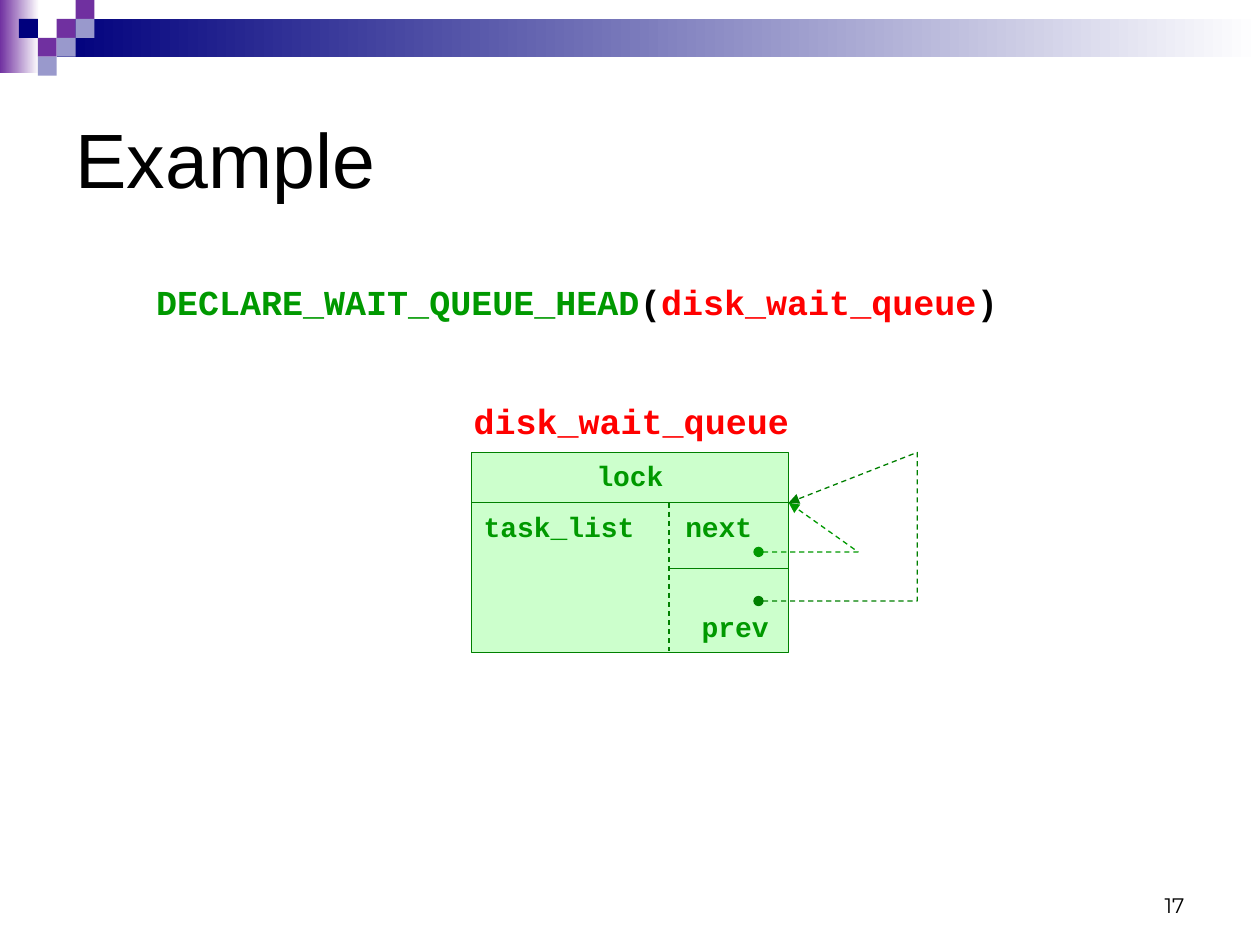
from typing import NamedTuple

from lxml import etree
from pptx import Presentation
from pptx.dml.color import RGBColor
from pptx.enum.dml import MSO_LINE
from pptx.enum.shapes import MSO_CONNECTOR, MSO_SHAPE
from pptx.enum.text import MSO_ANCHOR, PP_ALIGN
from pptx.oxml.ns import qn
from pptx.util import Inches, Pt

RECT = MSO_SHAPE.RECTANGLE
STRAIGHT = MSO_CONNECTOR.STRAIGHT
DASH = MSO_LINE.DASH
LEFT, CENTER, RIGHT = PP_ALIGN.LEFT, PP_ALIGN.CENTER, PP_ALIGN.RIGHT
TOP, MIDDLE, BOTTOM = MSO_ANCHOR.TOP, MSO_ANCHOR.MIDDLE, MSO_ANCHOR.BOTTOM

BLACK = RGBColor(0x00, 0x00, 0x00)
WHITE = RGBColor(0xFF, 0xFF, 0xFF)
RED = RGBColor(0xFF, 0x00, 0x00)
PURPLE = RGBColor(0x70, 0x30, 0xA0)
NAVY = RGBColor(0x00, 0x00, 0x7D)
LAVENDER = RGBColor(0x99, 0x99, 0xCC)
PALE_GREEN = RGBColor(0xCC, 0xFF, 0xCC)
GREEN = RGBColor(0x00, 0x99, 0x00)
DARK_GREEN = RGBColor(0x00, 0x80, 0x00)

CODE = "Courier New"
LINE_WIDTH = Pt(0.75)
TILE = 0.15


class Box(NamedTuple):
    left: float
    top: float
    width: float
    height: float


class Run(NamedTuple):
    text: str
    color: RGBColor = GREEN
    size: float = 16
    font: str = CODE
    bold: bool = True


class Divider(NamedTuple):
    start: tuple[float, float]
    end: tuple[float, float]
    dashed: bool = False


class Pointer(NamedTuple):
    points: list[tuple[float, float]]
    color: RGBColor


class Field(NamedTuple):
    text: str
    align: PP_ALIGN = LEFT
    before: float = 10
    indent: float = 0
    tab: float = 0


BANDS = [(Box(0, 0, 0.31, 0.58), PURPLE), (Box(0.45, 0.15, 9.55, 0.3), NAVY)]
# Column and row on the tile grid
TILES = [(3, 1, PURPLE), (4, 0, PURPLE), (4, 1, LAVENDER), (2, 2, PURPLE),
         (1, 1, NAVY), (3, 2, LAVENDER), (2, 3, LAVENDER)]

QUEUE = Box(3.74, 3.59, 2.52, 1.59)
QUEUE_RIGHT = QUEUE.left + QUEUE.width
LIST_TOP = 3.99
FIELDS = [Field("lock", align=CENTER), Field("task_list\tnext", tab=1.6),
          Field("prev", before=38, indent=1.73)]
DIVIDERS = [Divider((QUEUE.left, LIST_TOP), (QUEUE_RIGHT, LIST_TOP)),
            Divider((5.3, 4.51), (6.25, 4.51)),
            Divider((5.31, LIST_TOP), (5.31, 5.17), dashed=True)]
LIST_HEAD = (QUEUE_RIGHT, LIST_TOP)
POINTERS = [
    Pointer([(6.02, 4.38), (6.81, 4.38), LIST_HEAD], GREEN),
    Pointer([(6.02, 4.77), (7.28, 4.77), (7.28, QUEUE.top), LIST_HEAD], DARK_GREEN),
]


def add_rect(s, box: Box, fill: RGBColor, line: RGBColor | None = None,
             fade: bool = False):
    sp = s.shapes.add_shape(RECT, *map(Inches, box))
    sp.shadow.inherit = False
    if fade:
        sp.fill.gradient()
        sp.fill.gradient_angle = 0
        for stop, color in zip(sp.fill.gradient_stops, (fill, WHITE)):
            stop.color.rgb = color
    else:
        sp.fill.solid()
        sp.fill.fore_color.rgb = fill
    if line is None:
        sp.line.fill.background()
    else:
        sp.line.color.rgb = line
        sp.line.width = LINE_WIDTH
    return sp


def add_run(p, run: Run) -> None:
    r = p.add_run()
    r.text = run.text
    for name, value in {"name": run.font, "size": Pt(run.size),
                        "bold": run.bold}.items():
        setattr(r.font, name, value)
    r.font.color.rgb = run.color


def add_text(s, box: Box, runs: list[Run], align: PP_ALIGN = LEFT,
             anchor: MSO_ANCHOR = TOP, before: float = 0) -> None:
    tf = s.shapes.add_textbox(*map(Inches, box)).text_frame
    tf.word_wrap = True
    tf.vertical_anchor = anchor
    p = tf.paragraphs[0]
    p.alignment = align
    p.space_before = Pt(before)
    for run in runs:
        add_run(p, run)


def add_queue(s) -> None:
    tf = add_rect(s, QUEUE, PALE_GREEN, DARK_GREEN).text_frame
    tf.word_wrap = True
    tf.vertical_anchor = TOP
    for i, field in enumerate(FIELDS):
        p = tf.add_paragraph() if i else tf.paragraphs[0]
        p.alignment = field.align
        p.space_before = Pt(field.before)
        add_run(p, Run(field.text))
        pPr = p._p.get_or_add_pPr()
        pPr.set("marL", str(Inches(field.indent)))
        if field.tab:
            tabs = etree.SubElement(pPr, qn("a:tabLst"))
            etree.SubElement(tabs, qn("a:tab"), pos=str(Inches(field.tab)), algn="l")


def add_divider(s, divider: Divider) -> None:
    sp = s.shapes.add_connector(
        STRAIGHT, *map(Inches, (*divider.start, *divider.end)))
    sp.line.color.rgb = DARK_GREEN
    sp.line.width = LINE_WIDTH
    if divider.dashed:
        sp.line.dash_style = DASH
    etree.SubElement(sp._element.spPr, qn("a:effectLst"))


def add_pointer(s, pointer: Pointer) -> None:
    start, *rest = [(Inches(x), Inches(y)) for x, y in pointer.points]
    builder = s.shapes.build_freeform(*start)
    builder.add_line_segments(rest, close=False)
    sp = builder.convert_to_shape()
    sp.shadow.inherit = False
    sp.fill.background()
    sp.line.color.rgb = pointer.color
    sp.line.width = LINE_WIDTH
    sp.line.dash_style = DASH
    ln = sp.line._get_or_add_ln()
    for tag, kind in (("a:headEnd", "oval"), ("a:tailEnd", "triangle")):
        etree.SubElement(ln, qn(tag), type=kind)


def main() -> None:
    prs = Presentation()
    prs.slide_width, prs.slide_height = Inches(10), Inches(7.5)
    s = prs.slides.add_slide(prs.slide_layouts[5])

    for box, color in BANDS:
        add_rect(s, box, color, fade=True)
    for col, row, color in TILES:
        add_rect(s, Box(col * TILE, row * TILE, TILE, TILE), color)

    title = s.shapes.title
    for name, value in zip(Box._fields, (0.5, 0.5, 9, 1.5)):
        setattr(title, name, Inches(value))
    title.text_frame.vertical_anchor = MIDDLE
    p = title.text_frame.paragraphs[0]
    p.alignment = LEFT
    add_run(p, Run("Example", BLACK, 44, "Arial", False))

    add_queue(s)
    for divider in DIVIDERS:
        add_divider(s, divider)
    add_text(s, Box(1.14, 2.18, 7.24, 0.44),
             [Run("DECLARE_WAIT_QUEUE_HEAD", GREEN, 20), Run("(", BLACK, 20),
              Run("disk_wait_queue", RED, 20), Run(")", BLACK, 20)], before=12.5)
    add_text(s, Box(3.66, 3.12, 2.91, 0.44),
             [Run("disk_wait_queue", RED, 20)], before=12.5)
    for pointer in POINTERS:
        add_pointer(s, pointer)
    add_text(s, Box(7.17, 6.83, 2.33, 0.5),
             [Run("17", BLACK, 12, "Montserrat", False)], RIGHT, BOTTOM)

    prs.save("out.pptx")


if __name__ == "__main__":
    main()
